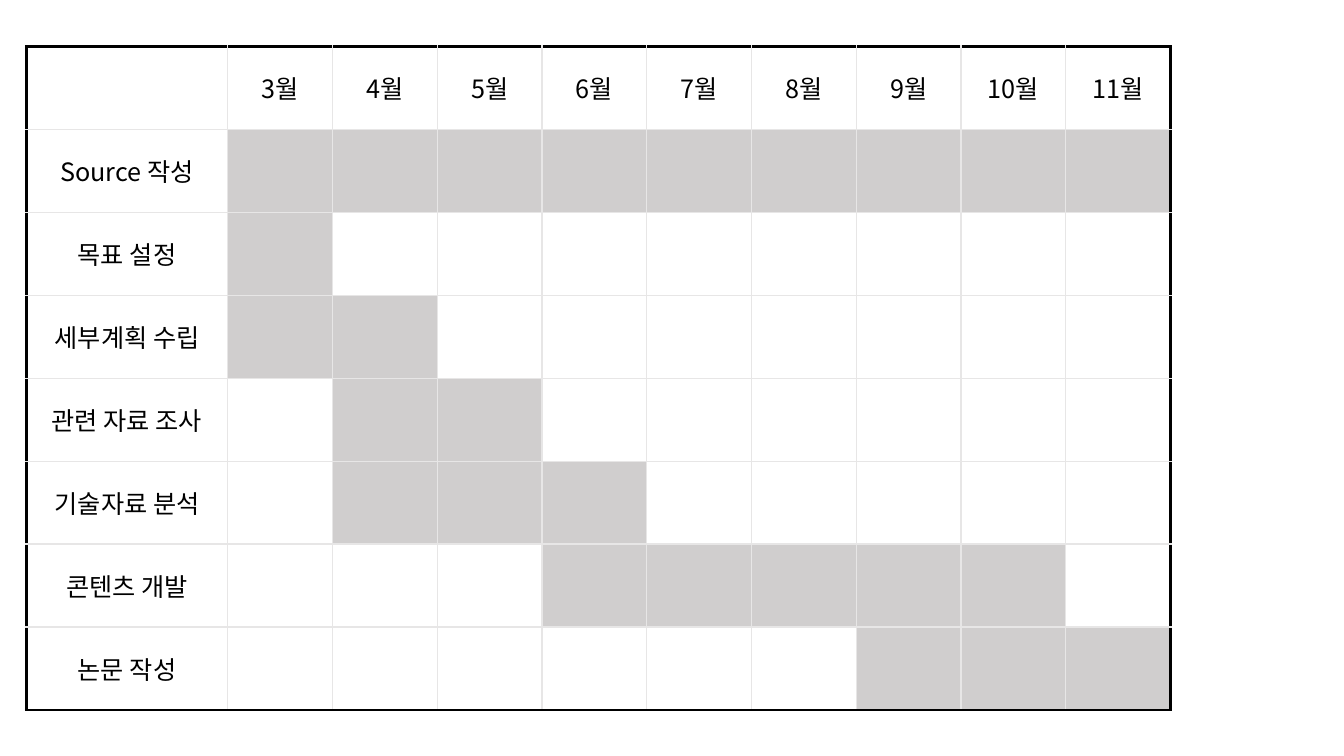
from dataclasses import dataclass

from lxml.etree import SubElement
from pptx import Presentation
from pptx.dml.color import RGBColor
from pptx.enum.text import MSO_ANCHOR, PP_ALIGN
from pptx.oxml import parse_xml
from pptx.oxml.ns import nsdecls, qn
from pptx.table import Table, _Cell as Cell
from pptx.util import Cm, Pt

BLACK = RGBColor(0x00, 0x00, 0x00)
GRID = RGBColor(0xE7, 0xE6, 0xE6)
BAR = RGBColor(0xD0, 0xCE, 0xCE)
FONT = "Noto Sans CJK KR"
FIRST_MONTH, LAST_MONTH = 3, 11
MONTHS = range(FIRST_MONTH, LAST_MONTH + 1)
LABEL_W, MONTH_W, ROW_H = Cm(5.08), Cm(2.64), Cm(2.09)


@dataclass(frozen=True)
class Task:
    name: str
    start: int
    end: int


TASKS = [
    Task("Source 작성", 3, 11),
    Task("목표 설정", 3, 3),
    Task("세부계획 수립", 3, 4),
    Task("관련 자료 조사", 4, 5),
    Task("기술자료 분석", 4, 6),
    Task("콘텐츠 개발", 6, 10),
    Task("논문 작성", 9, 11),
]


def write_label(cell: Cell, text: str) -> None:
    cell.text_frame.text = text
    p = cell.text_frame.paragraphs[0]
    p.alignment = PP_ALIGN.CENTER
    r = p.runs[0]
    r.font.size = Pt(18)
    r.font.name = FONT
    r.font.color.rgb = BLACK
    SubElement(r.font._element, qn("a:ea"), typeface=FONT)


def fill_cell(cell: Cell, busy: bool) -> None:
    if busy:
        cell.fill.solid()
        cell.fill.fore_color.rgb = BAR
    else:
        cell.fill.background()


def draw_borders(cell: Cell, outer: dict[str, bool]) -> None:
    tc_pr = cell._tc.get_or_add_tcPr()
    for i, (side, is_outer) in enumerate(outer.items()):
        color, width = (BLACK, Pt(2.25)) if is_outer else (GRID, Pt(1))
        tc_pr.insert(i, parse_xml(
            f'<a:ln{side} {nsdecls("a")} w="{width}"><a:solidFill>'
            f'<a:srgbClr val="{color}"/></a:solidFill></a:ln{side}>'))


def draw_schedule(table: Table) -> None:
    table.first_row = table.horz_banding = False
    for i, column in enumerate(table.columns):
        column.width = MONTH_W if i else LABEL_W
    for row in table.rows:
        row.height = ROW_H
    for col, month in enumerate(MONTHS, 1):
        write_label(table.cell(0, col), f"{month}월")
    for row, task in enumerate(TASKS, 1):
        write_label(table.cell(row, 0), task.name)
    for row in range(len(TASKS) + 1):
        for col in range(len(MONTHS) + 1):
            cell = table.cell(row, col)
            cell.vertical_anchor = MSO_ANCHOR.MIDDLE
            busy = False
            if row and col:
                task = TASKS[row - 1]
                busy = task.start <= MONTHS[col - 1] <= task.end
            fill_cell(cell, busy)
            draw_borders(cell, {"L": col == 0, "R": col == len(MONTHS),
                                "T": row == 0, "B": row == len(TASKS)})


prs = Presentation()
prs.slide_width, prs.slide_height = Cm(33.87), Cm(19.05)
s = prs.slides.add_slide(prs.slide_layouts[6])
rows, cols = len(TASKS) + 1, len(MONTHS) + 1
frame = s.shapes.add_table(rows, cols, Cm(0.66), Cm(1.17),
                           LABEL_W + MONTH_W * len(MONTHS), ROW_H * rows)
draw_schedule(frame.table)
prs.save("out.pptx")
